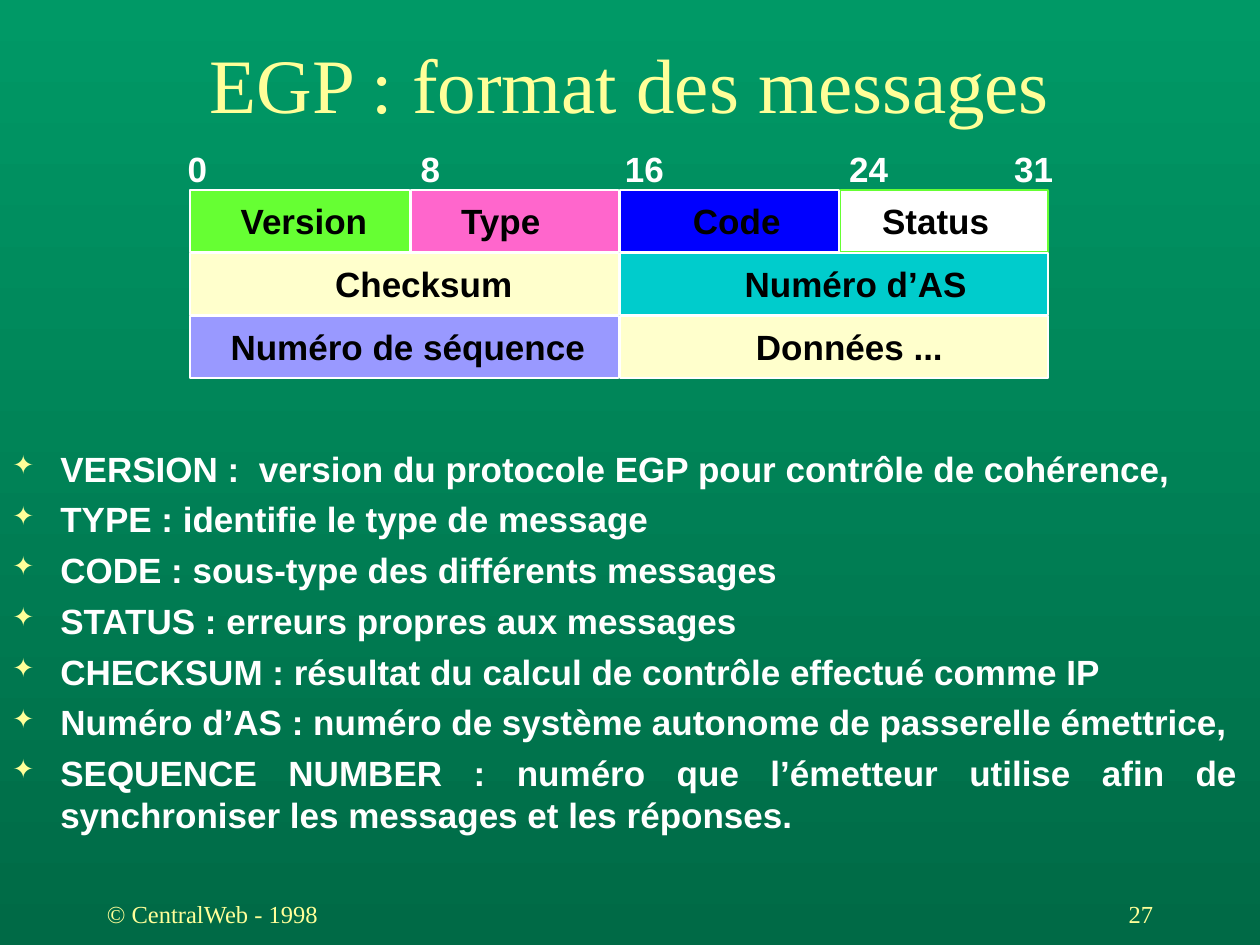
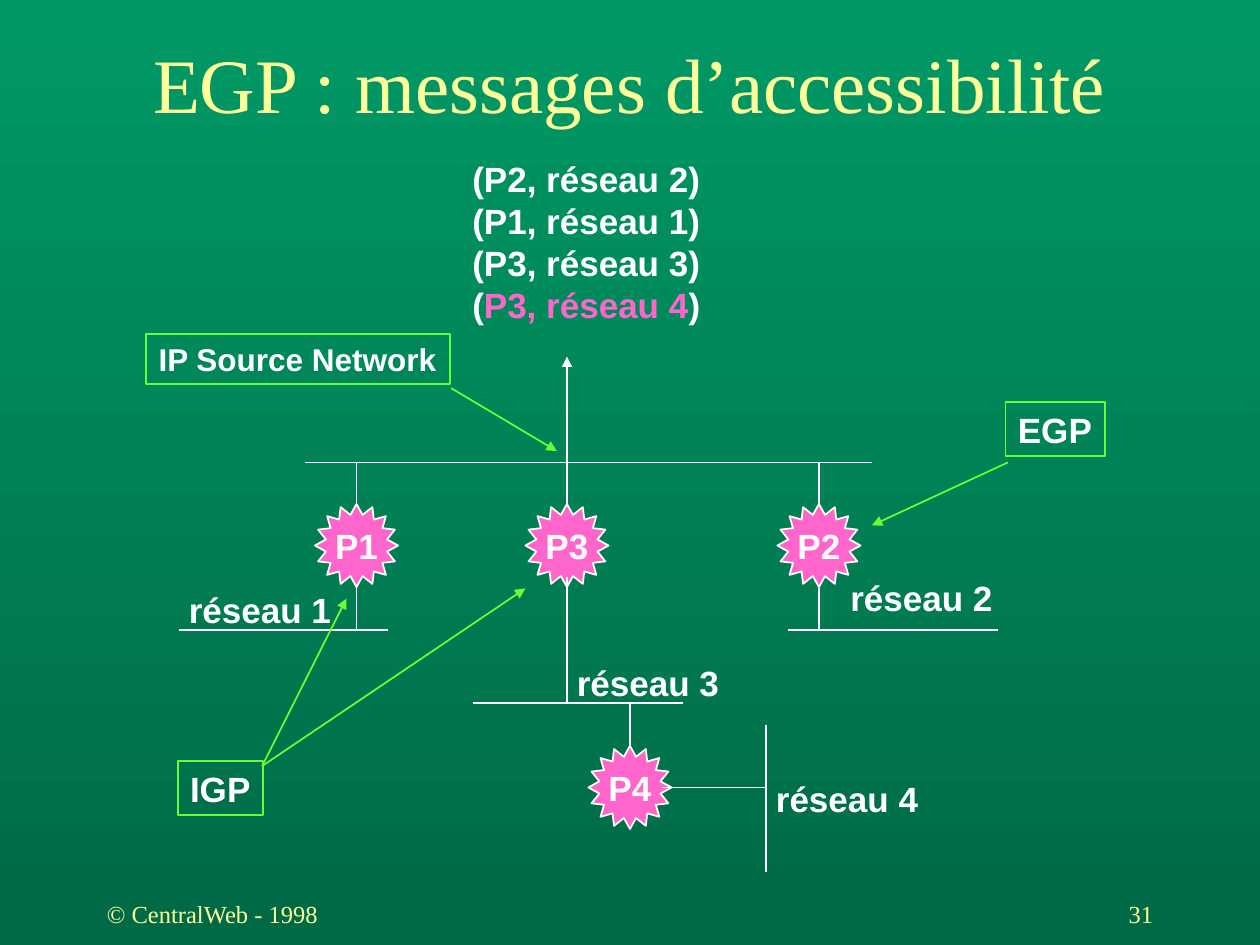
from lxml.etree import SubElement
from pptx import Presentation
from pptx.dml.color import RGBColor
from pptx.enum.shapes import MSO_CONNECTOR, MSO_SHAPE
from pptx.enum.text import MSO_ANCHOR, PP_ALIGN
from pptx.oxml.ns import qn
from pptx.util import Inches, Pt

WHITE, BLACK, YELLOW = "FFFFFF", "000000", "FFFF99"
GREEN, PINK, CREAM = "66FF33", "FF66CC", "FFFFCC"
BACKGROUND = ("009966", "006A46")
SERIF, SANS = "Times New Roman", "Arial"

DEFINITIONS = [
    "VERSION :  version du protocole EGP pour contrôle de cohérence,",
    "TYPE : identifie le type de message",
    "CODE : sous-type des différents messages",
    "STATUS : erreurs propres aux messages",
    "CHECKSUM : résultat du calcul de contrôle effectué comme IP",
    "Numéro d’AS : numéro de système autonome de passerelle émettrice,",
    "SEQUENCE NUMBER : numéro que l’émetteur utilise afin de "
    "synchroniser les messages et les réponses.",
]
QUARTERS = [(1.51, 1.74), (3.26, 1.65), (4.92, 1.74), (6.67, 1.65)]
HALVES = [(1.51, 3.4), (4.92, 3.4)]
FIELD_ROWS = [
    (QUARTERS, [("Version", GREEN, 0.4), ("Type", PINK, 0.4),
                ("Code", "0000FF", 0.58), ("Status", WHITE, 0.33)]),
    (HALVES, [("Checksum", CREAM, 1.15), ("Numéro d’AS", "00CCCC", 0.99)]),
    (HALVES, [("Numéro de séquence", "9999FF", 0.32), ("Données ...", CREAM, 1.08)]),
]


def rgb(value):
    """Turn a hex string into a colour."""
    return RGBColor.from_string(value)


def add_bullet(para):
    """Give a paragraph a hanging yellow star bullet."""
    properties = para._p.get_or_add_pPr()
    properties.set("marL", str(Inches(0.38)))
    properties.set("indent", str(-Inches(0.38)))
    colour = SubElement(properties, qn("a:buClr"))
    SubElement(colour, qn("a:srgbClr"), val=YELLOW)
    SubElement(properties, qn("a:buSzPct"), val="75000")
    SubElement(properties, qn("a:buChar"), char="✦")


def add_tabs(para, stops):
    """Set left tab stops, in inches, on a paragraph."""
    tabs = SubElement(para._p.get_or_add_pPr(), qn("a:tabLst"))
    for stop in stops:
        SubElement(tabs, qn("a:tab"), pos=str(Inches(stop)), algn="l")


def write(shape, paragraphs, *, size=20, font=SANS, color=WHITE, bold=True,
          align=PP_ALIGN.LEFT, anchor=MSO_ANCHOR.TOP, wrap=False,
          insets=(0.1, 0.05), bullets=False, gap=0, tabs=()):
    """Fill a shape with paragraphs, each a string or a list of (text, colour)."""
    frame = shape.text_frame
    frame.word_wrap = wrap
    frame.vertical_anchor = anchor
    frame.margin_left, frame.margin_top = map(Inches, insets)
    frame.margin_right, frame.margin_bottom = Inches(0.1), Inches(0.05)
    if isinstance(paragraphs, str):
        paragraphs = [paragraphs]
    for index, content in enumerate(paragraphs):
        para = frame.add_paragraph() if index else frame.paragraphs[0]
        if bullets:
            add_bullet(para)
        if tabs:
            add_tabs(para, tabs)
        para.alignment = align
        if index and gap:
            para.space_before = Pt(gap)
        spans = [(content, color)] if isinstance(content, str) else content
        for text, span_color in spans:
            span = para.add_run()
            span.text = text
            span.font.name, span.font.size, span.font.bold = font, Pt(size), bold
            span.font.color.rgb = rgb(span_color)


def add_text(page, at, paragraphs, **style):
    """Add a text box."""
    write(page.shapes.add_textbox(*map(Inches, at)), paragraphs, **style)


def add_box(page, at, text, *, kind=MSO_SHAPE.RECTANGLE, fill=None, line=WHITE, **style):
    """Add an outlined shape that holds its own label."""
    box = page.shapes.add_shape(kind, *map(Inches, at))
    box.shadow.inherit = False
    if fill:
        box.fill.solid()
        box.fill.fore_color.rgb = rgb(fill)
    else:
        box.fill.background()
    box.line.color.rgb = rgb(line)
    box.line.width = Pt(1)
    write(box, text, **style)


def add_line(page, start, end, color=WHITE, arrow=False):
    """Draw a straight line, with an arrowhead at its end if asked."""
    line = page.shapes.add_connector(MSO_CONNECTOR.STRAIGHT, *map(Inches, start + end))
    line.line.color.rgb = rgb(color)
    line.line.width = Pt(1)
    if arrow:
        SubElement(line.line._get_or_add_ln(), qn("a:tailEnd"), type="triangle")
    SubElement(line._element.spPr, qn("a:effectLst"))


def add_router(page, name, x, y):
    """Draw a router as a star centred on a point."""
    add_box(page, (x - 0.33, y - 0.33, 0.66, 0.66), name,
            kind=MSO_SHAPE.STAR_16_POINT, fill=PINK,
            align=PP_ALIGN.CENTER, anchor=MSO_ANCHOR.MIDDLE)


def add_page(deck, title, number):
    """Add a page with the shared background, title and footer."""
    page = deck.slides.add_slide(deck.slide_layouts[6])
    fill = page.background.fill
    fill.gradient()
    fill.gradient_angle = 270
    for stop, color, position in zip(fill.gradient_stops, BACKGROUND, (0, 1)):
        stop.color.rgb = rgb(color)
        stop.position = position
    style = dict(font=SERIF, color=YELLOW, bold=False, wrap=True, anchor=MSO_ANCHOR.MIDDLE)
    add_text(page, (0, 0.31, 10, 0.69), title, size=44, align=PP_ALIGN.CENTER, **style)
    add_text(page, (0.75, 7, 2.08, 0.5), "© CentralWeb - 1998", size=14, **style)
    add_text(page, (7.17, 7, 2.08, 0.5), number, size=14, align=PP_ALIGN.RIGHT, **style)
    return page


def build_format(deck):
    """Show the message fields and what they mean."""
    page = add_page(deck, "EGP : format des messages", "27")
    add_text(page, (0, 3.5, 9.92, 3.25), DEFINITIONS, wrap=True,
             align=PP_ALIGN.JUSTIFY, bullets=True, gap=5)
    add_text(page, (1.39, 1.12, 7.09, 0.43), "0\t8\t16\t24\t31", wrap=True,
             tabs=(1.85, 3.47, 5.25, 6.56))
    for row, (columns, fields) in enumerate(FIELD_ROWS):
        for (left, width), (name, fill, indent) in zip(columns, fields):
            add_box(page, (left, 1.51 + row * 0.5, width, 0.49), name, fill=fill,
                    line=GREEN if name == "Status" else WHITE,
                    color=BLACK, insets=(indent, 0.07))


def build_reachability(deck):
    """Show the routers, their networks and the announced pairs."""
    page = add_page(deck, "EGP : messages d’accessibilité", "31")
    add_line(page, (4.5, 3.67), (4.5, 2.83), arrow=True)
    add_line(page, (2.42, 3.67), (6.92, 3.67))
    for name, x in (("P1", 2.83), ("P3", 4.5), ("P2", 6.5)):
        add_router(page, name, x, 4.33)
        add_line(page, (x, 3.67), (x, 4))
    add_router(page, "P4", 5, 6.25)
    for start, end in [
        ((2.83, 4.67), (2.83, 5)), ((4.5, 4.58), (4.5, 5.58)),
        ((6.5, 4.67), (6.5, 5)), ((1.42, 5), (3.08, 5)),
        ((6.25, 5), (7.92, 5)), ((3.75, 5.58), (5.42, 5.58)),
        ((5, 5.58), (5, 5.92)), ((5.25, 6.25), (6.08, 6.25)),
        ((6.08, 5.75), (6.08, 6.92)),
    ]:
        add_line(page, start, end)
    networks = [(1.4, 4.62), (6.65, 4.53), (4.48, 5.2), (6.06, 6.12)]
    for number, (left, top) in enumerate(networks, 1):
        add_text(page, (left, top, 1.33, 0.43), f"réseau {number}")
    pairs = [f"(P{router}, réseau {router})" for router in (2, 1, 3)]
    pairs.append([("(", WHITE), ("P3, réseau 4", PINK), (")", WHITE)])
    add_text(page, (3.65, 1.2, 2.43, 1.44), pairs, wrap=True)
    add_box(page, (1.16, 2.65, 2.41, 0.4), "IP Source Network", line=GREEN, size=18)
    add_box(page, (7.98, 3.19, 0.79, 0.43), "EGP", line=GREEN)
    add_box(page, (1.41, 6.04, 0.68, 0.43), "IGP", line=GREEN)
    for start, end in [
        ((3.58, 3.08), (4.42, 3.58)), ((8, 3.67), (6.92, 4.17)),
        ((2.08, 6.08), (4.17, 4.67)), ((2.08, 6.08), (2.75, 4.75)),
    ]:
        add_line(page, start, end, GREEN, arrow=True)


def main():
    """Build and save the deck."""
    deck = Presentation()
    deck.slide_width, deck.slide_height = Inches(10), Inches(7.5)
    build_format(deck)
    build_reachability(deck)
    deck.save("out.pptx")


if __name__ == "__main__":
    main()
